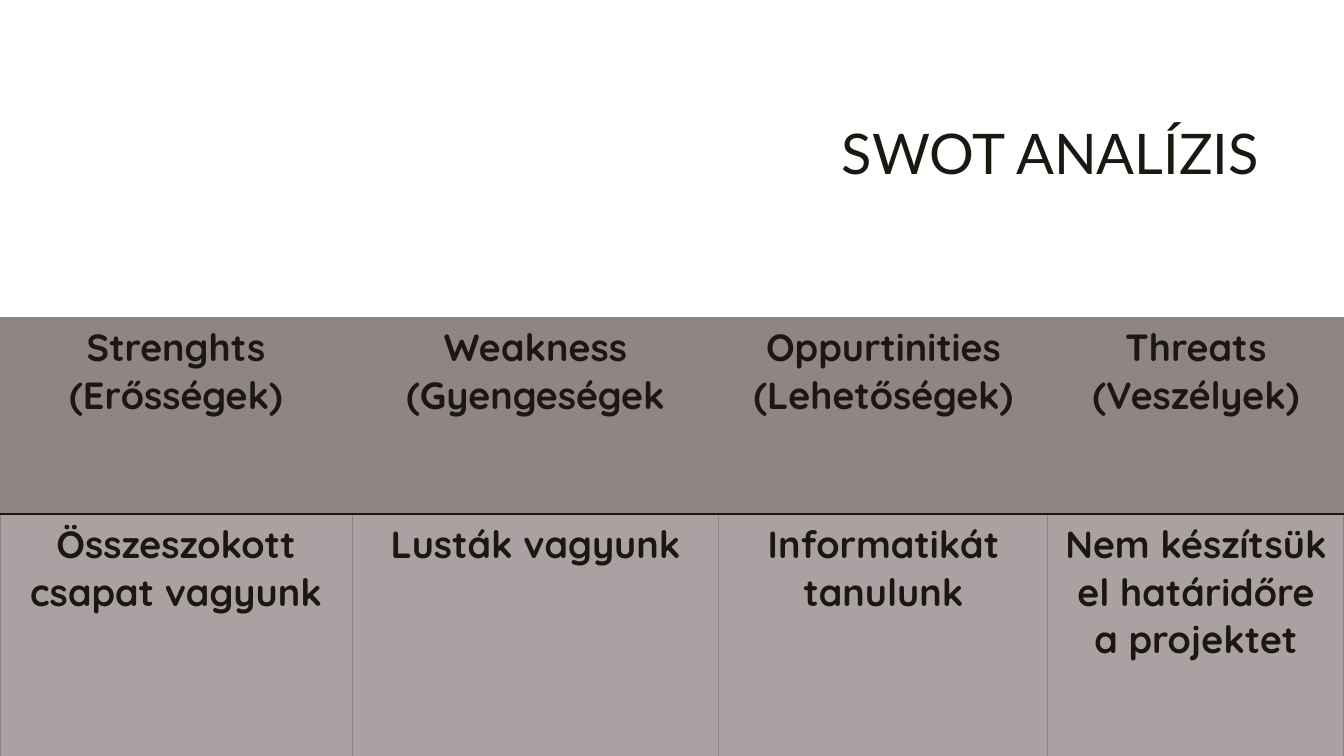
from dataclasses import dataclass

from lxml import etree
from pptx import Presentation
from pptx.dml.color import RGBColor
from pptx.enum.text import MSO_ANCHOR, MSO_AUTO_SIZE, PP_ALIGN
from pptx.oxml.ns import qn
from pptx.util import Emu, Pt

RIGHT, CENTER = PP_ALIGN.RIGHT, PP_ALIGN.CENTER
TOP, MIDDLE = MSO_ANCHOR.TOP, MSO_ANCHOR.MIDDLE
NO_AUTOFIT = MSO_AUTO_SIZE.NONE
TITLE_ONLY = 5


@dataclass(frozen=True)
class Theme:
    ink: str = "1B1811"
    taupe: str = "918485"
    body_opacity: int = 76
    title_font: str = "Lato"
    table_font: str = "Quicksand"
    title_size: int = 40
    table_size: int = 27
    grid_width: float = 0.75
    rule_width: float = 1


THEME = Theme()
PAGE = (1344, 756)
TITLE_BOX = (320, 85, 949, 142)
TABLE_BOX = (0, 317, 1344, 439)
COLUMN_WIDTHS = (352, 367, 329, 296)
ROW_HEIGHTS = (197, 242)
SWOT = (
    ("Strenghts\n(Erősségek)", "Weakness\n(Gyengeségek",
     "Oppurtinities\n(Lehetőségek)", "Threats\n(Veszélyek)"),
    ("Összeszokott csapat vagyunk", "Lusták vagyunk",
     "Informatikát tanulunk", "Nem készítsük el határidőre a projektet"),
)


def px(count):
    return Emu(round(count * 914400 / 100.8))


def style_paragraph(para, font, size, align, bold=False):
    para.alignment = align
    para.font.name = font
    para.font.size = Pt(size)
    para.font.bold = bold
    para.font.color.rgb = RGBColor.from_string(THEME.ink)


def place_title(page, box, text):
    title = page.shapes.title
    title.left, title.top, title.width, title.height = map(px, box)
    frame = title.text_frame
    frame.text = text
    frame.auto_size = NO_AUTOFIT
    frame.vertical_anchor = MIDDLE
    para = frame.paragraphs[0]
    para.line_spacing = 0.9
    style_paragraph(para, THEME.title_font, THEME.title_size, RIGHT)


def set_borders(cell, borders):
    """Borders are (colour, points) in the order left, right, top, bottom."""
    properties = cell._tc.get_or_add_tcPr()
    for index, (side, (color, width)) in enumerate(zip("LRTB", borders)):
        line = etree.Element(qn(f"a:ln{side}"), w=str(Pt(width)))
        fill = etree.SubElement(line, qn("a:solidFill"))
        etree.SubElement(fill, qn("a:srgbClr"), val=color)
        properties.insert(index, line)


def fill_cell(cell, opacity):
    cell.fill.solid()
    cell.fill.fore_color.rgb = RGBColor.from_string(THEME.taupe)
    if opacity < 100:
        color = cell._tc.tcPr.find(qn("a:solidFill")).find(qn("a:srgbClr"))
        etree.SubElement(color, qn("a:alpha"), val=str(opacity * 1000))


def format_cell(cell, text, is_header):
    cell.margin_left = cell.margin_right = px(15)
    cell.margin_top = cell.margin_bottom = px(7)
    cell.vertical_anchor = TOP
    cell.text_frame.text = text
    for para in cell.text_frame.paragraphs:
        style_paragraph(para, THEME.table_font, THEME.table_size, CENTER, bold=True)
    fill_cell(cell, 100 if is_header else THEME.body_opacity)
    grid = (THEME.taupe, THEME.grid_width)
    rule = (THEME.ink, THEME.rule_width)
    set_borders(cell, (grid, grid, grid, rule) if is_header else (grid, grid, rule, grid))


def place_swot_table(page, box, rows):
    frame = page.shapes.add_table(len(rows), len(rows[0]), *map(px, box))
    table = frame.table
    table.horz_banding = False
    for column, width in zip(table.columns, COLUMN_WIDTHS):
        column.width = px(width)
    for row, height in zip(table.rows, ROW_HEIGHTS):
        row.height = px(height)
    for row_index, texts in enumerate(rows):
        for column_index, text in enumerate(texts):
            format_cell(table.cell(row_index, column_index), text, row_index == 0)


def main():
    deck = Presentation()
    deck.slide_width, deck.slide_height = map(px, PAGE)
    page = deck.slides.add_slide(deck.slide_layouts[TITLE_ONLY])
    place_title(page, TITLE_BOX, "SWOT ANALÍZIS")
    place_swot_table(page, TABLE_BOX, SWOT)
    deck.save("out.pptx")


if __name__ == "__main__":
    main()
